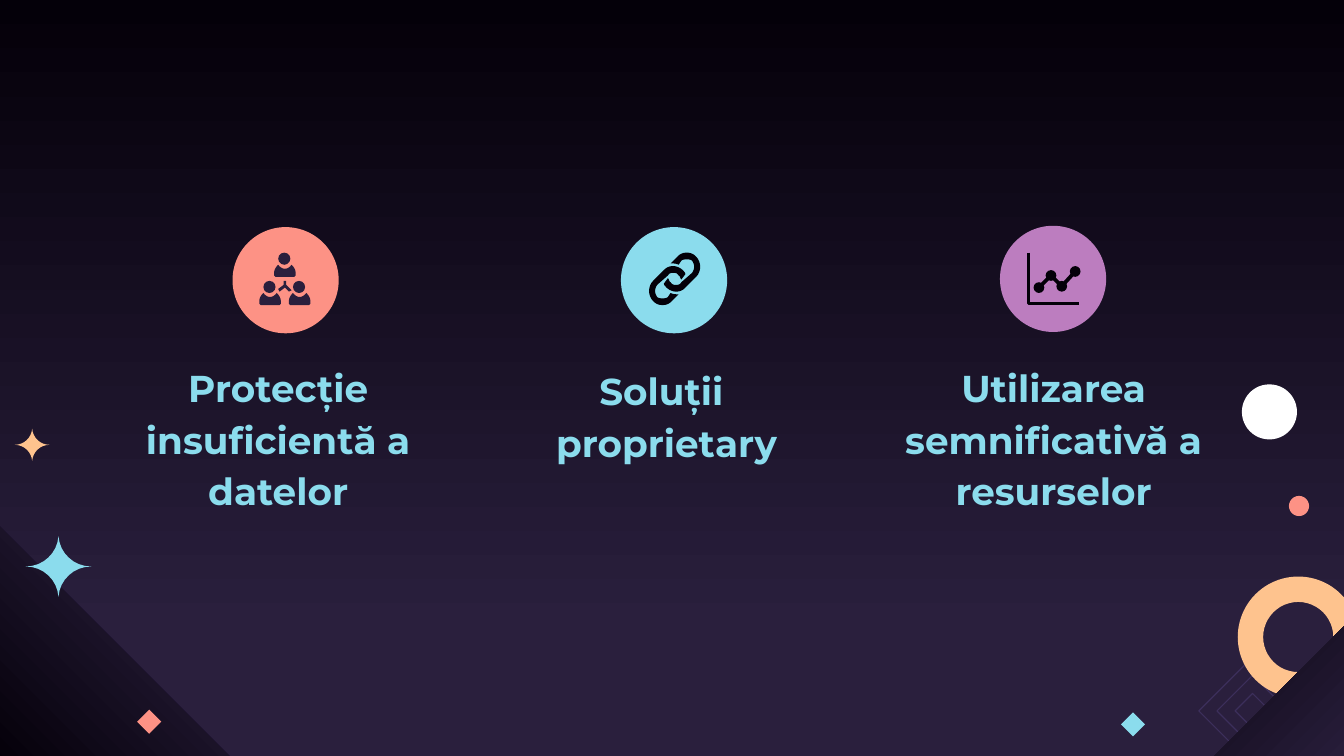
from pptx import Presentation
from pptx.dml.color import RGBColor
from pptx.enum.shapes import MSO_CONNECTOR, MSO_SHAPE as SHAPE
from pptx.enum.text import MSO_ANCHOR, PP_ALIGN
from pptx.oxml import parse_xml
from pptx.oxml.ns import nsdecls
from pptx.util import Inches, Pt

NIGHT = RGBColor(0x04, 0x00, 0x09)
PLUM = RGBColor(0x2A, 0x1F, 0x3D)
OUTLINE = RGBColor(0x3C, 0x2F, 0x5B)
AQUA = RGBColor(0x8B, 0xDC, 0xED)
CORAL = RGBColor(0xFD, 0x92, 0x85)
PEACH = RGBColor(0xFE, 0xC3, 0x8E)
ORCHID = RGBColor(0xBC, 0x7D, 0xBF)
WHITE = RGBColor(0xFF, 0xFF, 0xFF)

# Paths: a pair is a straight step, six numbers are a cubic curve.
SPARKLE = [(0, 0.5), (0.27, 0.5, 0.48, 0.28, 0.5, 0),
           (0.52, 0.28, 0.73, 0.5, 1, 0.5),
           (0.73, 0.5, 0.52, 0.72, 0.5, 1),
           (0.48, 0.72, 0.27, 0.5, 0, 0.5)]
SHOULDERS = [(0.03, 0), (0.06, 0.04, 0.1, 0.04, 0.13, 0),
             (0.15, 0.02, 0.16, 0.04, 0.16, 0.06), (0.16, 0.08),
             (0.15, 0.09), (0.01, 0.09), (0, 0.08), (0, 0.06),
             (0, 0.04, 0.01, 0.02, 0.03, 0)]
FORK = [(0.18, 0.21), (0.18, 0.24), (0.14, 0.27), (0.15, 0.29), (0.19, 0.26),
        (0.22, 0.29), (0.24, 0.28), (0.2, 0.24), (0.2, 0.21)]
LINK = [(0.29, 0), (0.26, 0, 0.24, 0.01, 0.22, 0.03), (0.17, 0.08),
        (0.19, 0.08, 0.21, 0.08, 0.23, 0.09), (0.25, 0.06),
        (0.26, 0.05, 0.28, 0.05, 0.29, 0.05),
        (0.3, 0.05, 0.32, 0.05, 0.33, 0.06),
        (0.35, 0.09, 0.35, 0.12, 0.33, 0.15), (0.25, 0.22),
        (0.24, 0.24, 0.22, 0.24, 0.21, 0.24),
        (0.2, 0.24, 0.18, 0.24, 0.17, 0.22),
        (0.16, 0.22, 0.16, 0.2, 0.15, 0.19), (0.12, 0.23),
        (0.12, 0.24, 0.13, 0.25, 0.14, 0.26),
        (0.16, 0.28, 0.19, 0.29, 0.21, 0.29),
        (0.24, 0.29, 0.26, 0.28, 0.28, 0.26), (0.36, 0.18),
        (0.4, 0.14, 0.4, 0.07, 0.36, 0.03),
        (0.34, 0.01, 0.32, 0, 0.29, 0)]


def flatten(path, steps=8):
    """Turn a path of lines and cubic curves into a list of points."""
    points = [path[0]]
    for part in path[1:]:
        if len(part) == 2:
            points.append(part)
            continue
        nodes = [points[-1], part[0:2], part[2:4], part[4:6]]
        for step in range(1, steps + 1):
            t = step / steps
            weights = [(1 - t) ** 3, 3 * t * (1 - t) ** 2, 3 * t * t * (1 - t), t ** 3]
            points.append(tuple(sum(w * node[axis] for w, node in zip(weights, nodes))
                                for axis in (0, 1)))
    return points


def paint(shape, color=None, line=None, width=0):
    """Set fill and line of a shape, without shadow."""
    shape.shadow.inherit = False
    if color is None:
        shape.fill.background()
    else:
        shape.fill.solid()
        shape.fill.fore_color.rgb = color
    if line is None:
        shape.line.fill.background()
    else:
        shape.line.color.rgb = line
        shape.line.width = Pt(width)


def fade(fill, angle):
    """Fill with the plum to night gradient."""
    fill.gradient()
    fill.gradient_angle = angle
    for stop, position, color in zip(fill.gradient_stops, (0.17, 1), (PLUM, NIGHT)):
        stop.position = position
        stop.color.rgb = color


def add_preset(slide, kind, left, top, size, *style):
    """Add a square preset shape."""
    shape = slide.shapes.add_shape(kind, Inches(left), Inches(top), Inches(size), Inches(size))
    paint(shape, *style)
    return shape


def add_outline(slide, path, left, top, *style, scale=(1, 1), closed=True):
    """Add a freeform whose path is relative to left and top."""
    points = [(Inches(left + x * scale[0]), Inches(top + y * scale[1]))
              for x, y in flatten(path)]
    builder = slide.shapes.build_freeform(*points[0], scale=1.0)
    builder.add_line_segments(points[1:], close=closed)
    paint(builder.convert_to_shape(), *style)


def add_corner(slide, left, top, rotation, angle):
    """Add a gradient triangle in a lower corner."""
    corner = add_preset(slide, SHAPE.RIGHT_TRIANGLE, left, top, 1.8)
    corner.rotation = rotation
    fade(corner.fill, angle)


def left_decoration(slide, left, top):
    """Triangle, sparkles and diamond at the lower left."""
    add_corner(slide, left, top + 0.73, 0, 225)
    add_outline(slide, SPARKLE, left + 0.19, top + 0.8, AQUA, scale=(0.49, 0.45))
    add_preset(slide, SHAPE.DIAMOND, left + 1.02, top + 2.09, 0.18, CORAL)
    add_outline(slide, SPARKLE, left + 0.11, top, PEACH, scale=(0.26, 0.24))


def right_decoration(slide, left, top):
    """Nested squares, ring, triangle, diamond and dots at the lower right."""
    for size in (0.8, 0.53, 0.26):
        add_preset(slide, SHAPE.DIAMOND, left + 0.98 - size / 2, top + 2.43 - size / 2,
                   size, None, OUTLINE, 0.62)
    ring = add_preset(slide, SHAPE.DONUT, left + 0.87, top + 1.43, 0.9, PEACH)
    ring.adjustments[0] = 0.21
    add_corner(slide, left + 0.29, top + 1.37, 270, 45)
    add_preset(slide, SHAPE.DIAMOND, left, top + 2.44, 0.18, AQUA)
    add_preset(slide, SHAPE.OVAL, left + 1.25, top + 0.83, 0.15, CORAL)
    add_preset(slide, SHAPE.OVAL, left + 0.9, top, 0.41, WHITE)


def people_icon(slide, left, top):
    """Three people joined by a fork."""
    for x, y in ((0.11, 0), (0, 0.21), (0.22, 0.21)):
        add_preset(slide, SHAPE.OVAL, left + x + 0.03, top + y, 0.09, PLUM)
        add_outline(slide, SHOULDERS, left + x, top + y + 0.09, PLUM)
    add_outline(slide, FORK, left, top, PLUM)


def link_icon(slide, left, top):
    """Two chain links, the second turned half round."""
    turned = [tuple((0.4, 0.39)[i % 2] - value for i, value in enumerate(part))
              for part in LINK]
    for path in (LINK, turned):
        add_outline(slide, path, left, top, NIGHT)


def trend_icon(slide, left, top):
    """Axes with a dotted trend line."""
    axes = [(0.01, 0.01), (0.01, 0.39), (0.39, 0.39)]
    add_outline(slide, axes, left, top, None, NIGHT, 1.75, closed=False)
    dots = [(left + x, top + y) for x, y in
            ((0.09, 0.27), (0.18, 0.18), (0.26, 0.26), (0.36, 0.15))]
    for start, end in zip(dots, dots[1:]):
        segment = slide.shapes.add_connector(
            MSO_CONNECTOR.STRAIGHT, *(Inches(value) for value in start + end))
        segment.line.color.rgb = NIGHT
        segment.line.width = Pt(2)
        segment._element.spPr.append(parse_xml("<a:effectLst %s/>" % nsdecls("a")))
    for x, y in dots:
        add_preset(slide, SHAPE.OVAL, x - 0.04, y - 0.04, 0.08, NIGHT)


def add_feature(slide, badge, color, icon, label, lines):
    """Add a round badge with its icon and the label below."""
    left, top = badge
    add_preset(slide, SHAPE.OVAL, left, top, 0.79, color)
    icon(slide, left + 0.2, top + 0.19)
    box = slide.shapes.add_textbox(Inches(label[0]), Inches(label[1]), Inches(3.08), Inches(0.61))
    frame = box.text_frame
    frame.word_wrap = True
    frame.vertical_anchor = MSO_ANCHOR.BOTTOM
    frame.margin_left = frame.margin_right = Inches(0.1)
    frame.margin_top = frame.margin_bottom = Inches(0.1)
    for index, line in enumerate(lines):
        paragraph = frame.add_paragraph() if index else frame.paragraphs[0]
        paragraph.alignment = PP_ALIGN.CENTER
        paragraph.line_spacing = 1.15
        run = paragraph.add_run()
        run.text = line
        run.font.name = "Montserrat"
        run.font.size = Pt(20)
        run.font.bold = True
        run.font.color.rgb = AQUA


presentation = Presentation()
presentation.slide_width = Inches(10)
presentation.slide_height = Inches(10 * 9 / 16)
slide = presentation.slides.add_slide(presentation.slide_layouts[6])
fade(slide.background.fill, 90)
left_decoration(slide, 0, 3.19)
right_decoration(slide, 8.34, 2.86)
FEATURES = [
    ((1.73, 1.69), CORAL, people_icon, (0.53, 3.31), ["Protecție insuficientă a datelor"]),
    ((4.62, 1.69), AQUA, link_icon, (3.42, 2.95), ["Soluții ", "proprietary"]),
    ((7.44, 1.68), ORCHID, trend_icon, (6.3, 3.31), ["Utilizarea semnificativă a resurselor"]),
]
for feature in FEATURES:
    add_feature(slide, *feature)
presentation.save("out.pptx")
